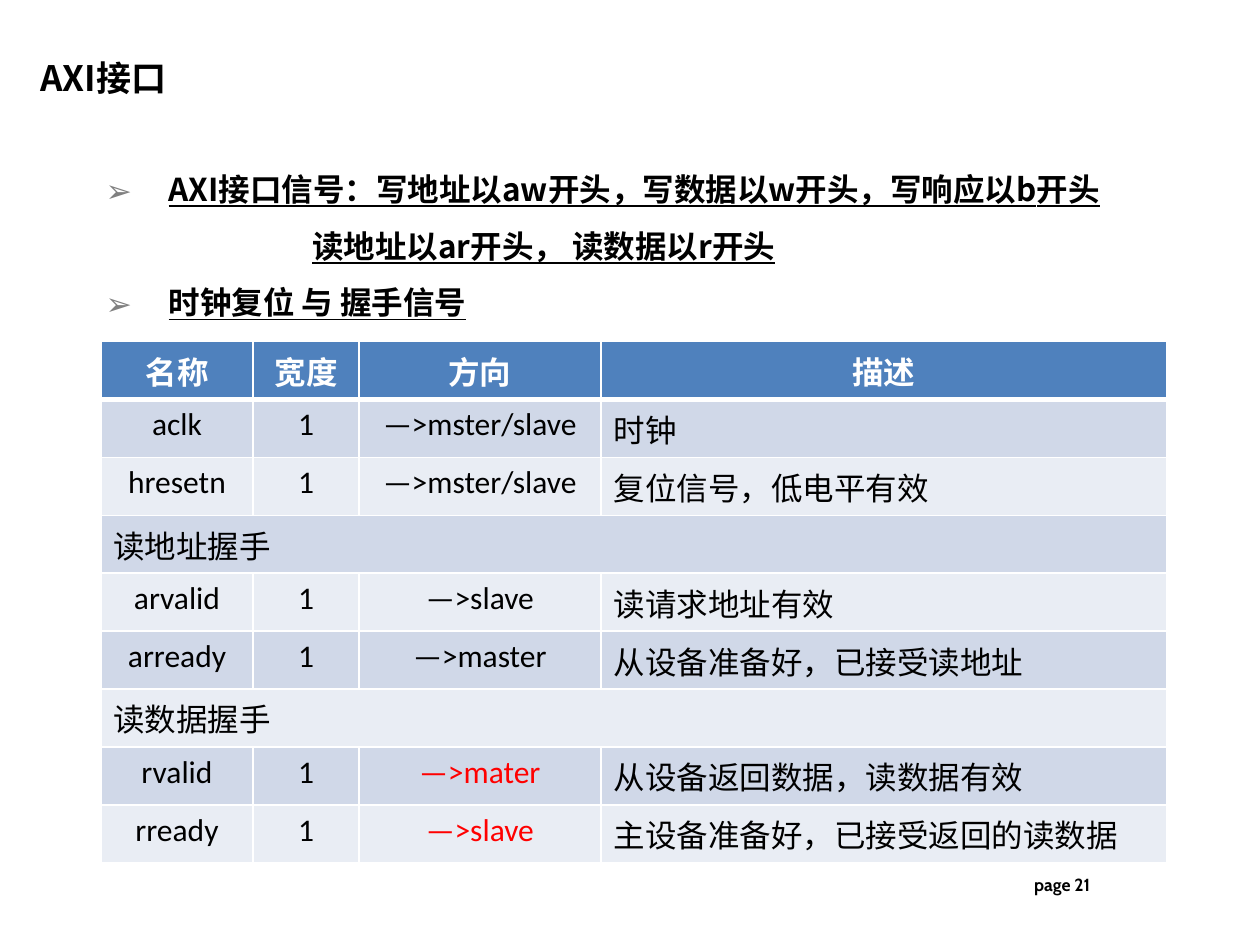
"""Build the slide on AXI clock, reset and handshake signals."""
from dataclasses import dataclass

from lxml.etree import SubElement
from pptx import Presentation
from pptx.dml.color import RGBColor as Color
from pptx.enum.text import MSO_ANCHOR as Anchor, MSO_AUTO_SIZE as AutoSize, PP_ALIGN as Align
from pptx.oxml import parse_xml
from pptx.oxml.ns import nsdecls, qn
from pptx.util import Inches, Pt


@dataclass(frozen=True)
class Theme:
    """Colours, fonts and type sizes of the slide."""
    black: str = "000000"
    white: str = "FFFFFF"
    red: str = "FF0000"
    header: str = "4F81BD"
    bands: tuple = ("D0D8E8", "E9EDF4")
    bullet: str = "808080"
    cjk: str = "Noto Sans CJK SC"
    latin: str = "Calibri"
    footer: str = "Cabin"
    title_size: int = 20
    body_size: int = 18
    footer_size: int = 10


THEME = Theme()
TITLE = "AXI接口"
FOOTER = "page 21"
POINTS = [
    ("AXI接口信号：写地址以aw开头，写数据以w开头，写响应以b开头", True),
    ("读地址以ar开头， 读数据以r开头", False),
    ("时钟复位 与 握手信号", True),
]
SIGNALS = [
    ("名称", "宽度", "方向", "描述"),
    ("aclk", "1", "—>mster/slave", "时钟"),
    ("hresetn", "1", "—>mster/slave", "复位信号，低电平有效"),
    ("读地址握手",),
    ("arvalid", "1", "—>slave", "读请求地址有效"),
    ("arready", "1", "—>master", "从设备准备好，已接受读地址"),
    ("读数据握手",),
    ("rvalid", "1", "—>mater", "从设备返回数据，读数据有效"),
    ("rready", "1", "—>slave", "主设备准备好，已接受返回的读数据"),
]
RED_CELLS = {(7, 2), (8, 2)}
COLUMNS = (1.21, 0.84, 1.92, 4.49)
HEADER_HEIGHT, ROW_HEIGHT = 0.46, 0.46
BULLET_INDENT, TEXT_INDENT, CONTINUED_INDENT = 0.5, 1, 2.14


def write(para, text, size, face, color=THEME.black, bold=False, underline=None, align=Align.LEFT):
    para.add_run().text = text
    para.alignment = align
    font = para.font
    font.size, font.bold, font.underline = Pt(size), bold, underline
    font.color.rgb = Color.from_string(color)
    font.name = face
    defaults = para._p.get_or_add_pPr().find(qn("a:defRPr"))
    SubElement(defaults, qn("a:ea"), typeface=THEME.cjk)


def add_box(page, left, top, width, height, anchor=Anchor.TOP):
    box = page.shapes.add_textbox(*map(Inches, (left, top, width, height)))
    frame = box.text_frame
    frame.word_wrap = True
    frame.vertical_anchor = anchor
    return frame


def indent(para, margin, bulleted):
    properties = para._p.get_or_add_pPr()
    properties.set("marL", str(Inches(margin)))
    properties.set("indent", str(Inches(-BULLET_INDENT if bulleted else 0)))
    defaults = properties.find(qn("a:defRPr"))
    if bulleted:
        marks = (f'<a:buClr {nsdecls("a")}><a:srgbClr val="{THEME.bullet}"/></a:buClr>',
                 f'<a:buFont {nsdecls("a")} typeface="{THEME.cjk}"/>',
                 f'<a:buChar {nsdecls("a")} char="➢"/>')
    else:
        marks = (f'<a:buNone {nsdecls("a")}/>',)
    for mark in marks:
        defaults.addprevious(parse_xml(mark))


def style_cell(cell, fill, bottom):
    properties = cell._tc.get_or_add_tcPr()
    for side, width in (("L", 1), ("R", 1), ("T", 1), ("B", bottom)):
        properties.append(parse_xml(
            f'<a:ln{side} {nsdecls("a")} w="{Pt(width)}"><a:solidFill>'
            f'<a:srgbClr val="{THEME.white}"/></a:solidFill></a:ln{side}>'))
    cell.fill.solid()
    cell.fill.fore_color.rgb = Color.from_string(fill)


def add_signals(page):
    height = HEADER_HEIGHT + ROW_HEIGHT * (len(SIGNALS) - 1)
    table = page.shapes.add_table(len(SIGNALS), len(COLUMNS), Inches(0.8), Inches(2.71),
                                  Inches(sum(COLUMNS)), Inches(height)).table
    table.horz_banding = False
    for column, width in zip(table.columns, COLUMNS):
        column.width = Inches(width)
    for r, values in enumerate(SIGNALS):
        header = r == 0
        table.rows[r].height = Inches(HEADER_HEIGHT if header else ROW_HEIGHT)
        fill = THEME.header if header else THEME.bands[(r - 1) % 2]
        for cell in table.rows[r].cells:
            style_cell(cell, fill, 3 if header else 1)
        if len(values) == 1:
            table.cell(r, 0).merge(table.cell(r, len(COLUMNS) - 1))
        for c, text in enumerate(values):
            color = THEME.white if header else THEME.red if (r, c) in RED_CELLS else THEME.black
            centred = header or (len(values) > 1 and c < len(COLUMNS) - 1)
            write(table.cell(r, c).text_frame.paragraphs[0], text, THEME.body_size, THEME.latin,
                  color, header, align=Align.CENTER if centred else Align.LEFT)


def add_points(page):
    frame = add_box(page, 0.24, 1.15, 9.39, 1.46)
    frame.auto_size = AutoSize.SHAPE_TO_FIT_TEXT
    for number, (text, bulleted) in enumerate(POINTS):
        para = frame.add_paragraph() if number else frame.paragraphs[0]
        para.level = 1
        para.line_spacing = 1.5
        write(para, text, THEME.body_size, THEME.cjk, bold=True, underline=True)
        indent(para, TEXT_INDENT if bulleted else CONTINUED_INDENT, bulleted)


def main():
    deck = Presentation()
    deck.slide_width, deck.slide_height = Inches(10), Inches(7.5)
    page = deck.slides.add_slide(deck.slide_layouts[6])
    footer = add_box(page, 6.42, 6.82, 2.33, 0.4, Anchor.MIDDLE)
    write(footer.paragraphs[0], FOOTER, THEME.footer_size, THEME.footer, bold=True,
          align=Align.RIGHT)
    title = add_box(page, 0.24, 0.38, 5.87, 0.44, Anchor.BOTTOM)
    title.margin_left = title.margin_right = Inches(0.08)
    title.margin_top = title.margin_bottom = Inches(0.04)
    write(title.paragraphs[0], TITLE, THEME.title_size, THEME.cjk, bold=True)
    add_signals(page)
    add_points(page)
    deck.save("out.pptx")


if __name__ == "__main__":
    main()
